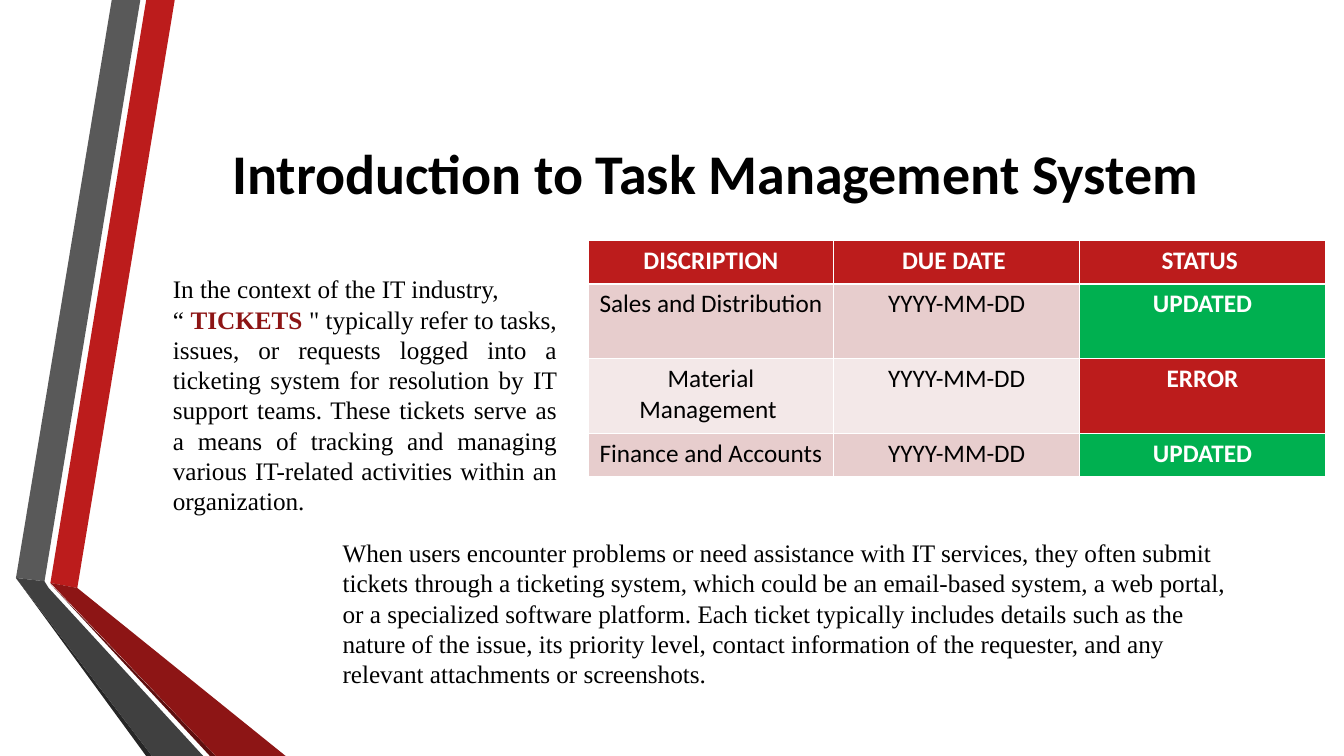
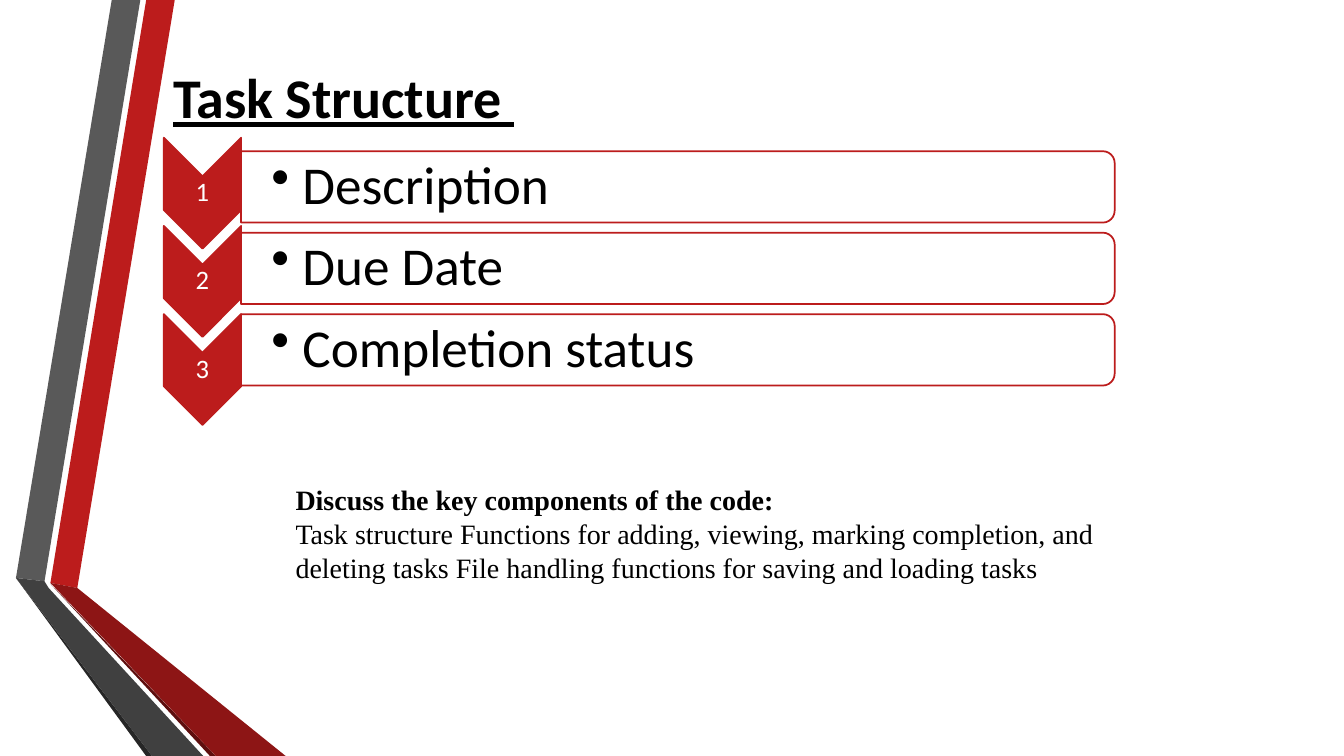
"""Build two slides about a task management system."""
from lxml import etree
from pptx import Presentation
from pptx import util as u
from pptx.dml.color import RGBColor
from pptx.enum import shapes, text
from pptx.oxml.ns import qn

COLORS = {
    "red": "BC1C1C", "crimson": "8D1515", "maroon": "5E0E0E",
    "grey": "595959", "charcoal": "404040", "coal": "262626",
    "green": "00B050", "rose": "E7CDCD", "blush": "F3E8E8",
    "white": "FFFFFF", "black": "000000",
}
SANS, SERIF = "Calibri", "Times New Roman"
COLUMNS, ROWS = 16, 9
ALIGN, ANCHOR, KIND = text.PP_ALIGN, text.MSO_ANCHOR, shapes.MSO_SHAPE

RIBBON = [
    ("red", [(0.6, 6.94), (0.92, 7), (2.08, 0), (1.74, 0)]),
    ("grey", [(1.67, 0), (1.33, 0), (0.19, 6.88), (0.53, 6.92)]),
    ("coal", [(0.19, 6.88), (1.74, 9), (1.81, 9)]),
    ("maroon", [(0.6, 6.95), (2.5, 9), (2.57, 9)]),
    ("crimson", [(0.6, 6.94), (2.57, 9), (3.4, 9), (0.92, 7)]),
    ("charcoal", [(2.42, 9), (0.58, 7), (0.53, 6.92), (0.19, 6.88), (1.81, 9)]),
]
TICKETS = [
    [("In the context of the IT industry, ", {})],
    [("“ ", {}),
     ("TICKETS ", {"color": "crimson", "bold": True}),
     ("\" typically refer to tasks, issues, or requests logged into a ticketing "
      "system for resolution by IT support teams. These tickets serve as a means "
      "of tracking and managing various IT-related activities within an "
      "organization.", {})],
]
USERS = [[(
    "When users encounter problems or need assistance with IT services, they often "
    "submit tickets through a ticketing system, which could be an email-based "
    "system, a web portal, or a specialized software platform. Each ticket "
    "typically includes details such as the nature of the issue, its priority "
    "level, contact information of the requester, and any relevant attachments or "
    "screenshots.", {})]]
COMPONENTS = [
    [("Discuss the key components of the code:", {"bold": True})],
    [("Task structure Functions for adding, viewing, marking completion, and "
      "deleting tasks File handling functions for saving and loading tasks", {})],
]
TASKS = [
    ["DISCRIPTION", "DUE DATE ", "STATUS "],
    ["Sales and Distribution ", "YYYY-MM-DD", "UPDATED"],
    ["Material Management ", "YYYY-MM-DD", "ERROR"],
    ["Finance and Accounts ", "YYYY-MM-DD", "UPDATED"],
]
STATUS_FILLS = {"UPDATED": "green", "ERROR": "red"}
STEPS = ["Description", "Due Date", "Completion status"]


class Board:
    """Hold the deck's style and draw on its current slide."""

    def __init__(self):
        """Open a wide deck with a title-only layout."""
        self.deck = Presentation()
        self.deck.slide_width = u.Inches(13.333)
        self.deck.slide_height = u.Inches(7.5)
        self.layout = self.deck.slide_layouts[5]
        self.page = None

    def across(self, columns):
        """Turn grid columns into a length."""
        return u.Emu(round(self.deck.slide_width * columns / COLUMNS))

    def down(self, rows):
        """Turn grid rows into a length."""
        return u.Emu(round(self.deck.slide_height * rows / ROWS))

    def area(self, left, top, width, height):
        """Turn a grid box into four lengths."""
        return self.across(left), self.down(top), self.across(width), self.down(height)

    def paint(self, target, color):
        """Give a shape or cell a solid fill."""
        target.fill.solid()
        target.fill.fore_color.rgb = RGBColor.from_string(COLORS[color])

    def style(self, span, size, font=SANS, color="black", bold=False, underline=False):
        """Format one run."""
        span.font.size = u.Pt(size)
        span.font.name = font
        span.font.bold = bold
        span.font.underline = underline
        span.font.color.rgb = RGBColor.from_string(COLORS[color])

    def slide(self, title, top, align, underline=False):
        """Start a slide and place its title."""
        self.page = self.deck.slides.add_slide(self.layout)
        box = self.page.shapes.title
        box.left, box.top, box.width, box.height = self.area(1.94, top, 13.15, 2.3)
        box.text_frame.text = title
        box.text_frame.vertical_anchor = ANCHOR.MIDDLE
        para = box.text_frame.paragraphs[0]
        para.alignment = align
        self.style(para.runs[0], 40, bold=True, underline=underline)

    def ribbon(self):
        """Draw the folded bands and move them to the shared layout."""
        for index, (color, corners) in enumerate(RIBBON):
            points = [(self.across(x), self.down(y)) for x, y in corners]
            builder = self.page.shapes.build_freeform(*points[0], scale=1.0)
            builder.add_line_segments(points[1:], close=True)
            band = builder.convert_to_shape()
            band.shadow.inherit = False
            self.paint(band, color)
            band.line.fill.background()
            self.layout.shapes.element.insert(2 + index, band.element)

    def passage(self, box, paragraphs, size, align=ALIGN.LEFT):
        """Write serif paragraphs made of styled spans."""
        frame = self.page.shapes.add_textbox(*self.area(*box)).text_frame
        frame.word_wrap = True
        for index, spans in enumerate(paragraphs):
            para = frame.add_paragraph() if index else frame.paragraphs[0]
            para.alignment = align
            for words, look in spans:
                span = para.add_run()
                span.text = words
                self.style(span, size, SERIF, **look)

    def label(self, box, words, size, color, align, inset=0):
        """Write one vertically centred line and return its paragraph."""
        frame = self.page.shapes.add_textbox(*self.area(*box)).text_frame
        frame.word_wrap = True
        frame.vertical_anchor = ANCHOR.MIDDLE
        frame.margin_left = self.across(inset)
        frame.margin_right = frame.margin_top = frame.margin_bottom = 0
        frame.text = words
        para = frame.paragraphs[0]
        para.alignment = align
        para.line_spacing = 0.9
        self.style(para.runs[0], size, color=color)
        return para

    def bullet(self, para, indent):
        """Give a paragraph a hanging round bullet."""
        props = para._p.get_or_add_pPr()
        props.set("marL", str(self.across(indent)))
        props.set("indent", str(-self.across(indent)))
        etree.SubElement(props, qn("a:buChar")).set("char", "•")

    def turned(self, kind, box, fill):
        """Draw a shape turned clockwise so that it fills the box."""
        left, top, width, height = self.area(*box)
        shift = (width - height) // 2
        shape = self.page.shapes.add_shape(kind, left + shift, top - shift, height, width)
        shape.rotation = 90
        shape.shadow.inherit = False
        self.paint(shape, fill)
        shape.line.color.rgb = RGBColor.from_string(COLORS["red"])
        shape.line.width = u.Pt(1.25)

    def table(self, box, heights, rows):
        """Draw the task table with coloured status cells."""
        frame = self.page.shapes.add_table(len(rows), len(rows[0]), *self.area(*box))
        for r, (height, row) in enumerate(zip(heights, rows)):
            frame.table.rows[r].height = self.down(height)
            for c, words in enumerate(row):
                cell = frame.table.cell(r, c)
                plain = "rose" if r % 2 else "blush"
                fill = STATUS_FILLS.get(words, plain) if r else "red"
                strong = fill != plain
                self.paint(cell, fill)
                cell.text_frame.text = words
                para = cell.text_frame.paragraphs[0]
                para.alignment = ALIGN.CENTER
                self.style(para.runs[0], 18, bold=strong,
                           color="white" if strong else "black")

    def step(self, index, words):
        """Draw a numbered chevron with its panel."""
        arrow = (1.95, 1.64 + 1.05 * index, 0.92, 1.32)
        panel = (2.87, 1.8 + 0.97 * index, 10.4, 0.85)
        self.turned(KIND.CHEVRON, arrow, "red")
        self.label(arrow, str(index + 1), 19, "white", ALIGN.CENTER)
        self.turned(KIND.ROUND_2_SAME_RECTANGLE, panel, "white")
        para = self.label(panel, words, 38, "black", ALIGN.LEFT, inset=0.36)
        self.bullet(para, 0.37)


def main():
    """Build and save the deck."""
    board = Board()
    board.slide("Introduction to Task Management System", 0.9, ALIGN.CENTER)
    board.ribbon()
    board.table((7, 2.86, 8.78, 2.82), [0.52, 0.89, 0.89, 0.52], TASKS)
    board.passage((1.94, 3.2, 4.81, 3.75), TICKETS, 18, ALIGN.JUSTIFY)
    board.passage((3.96, 6.34, 10.81, 1.94), USERS, 18)

    board.slide("Task Structure ", 0, ALIGN.LEFT, underline=True)
    for index, words in enumerate(STEPS):
        board.step(index, words)
    board.passage((3.4, 5.69, 10.25, 1.69), COMPONENTS, 20)
    board.deck.save("out.pptx")


if __name__ == "__main__":
    main()
